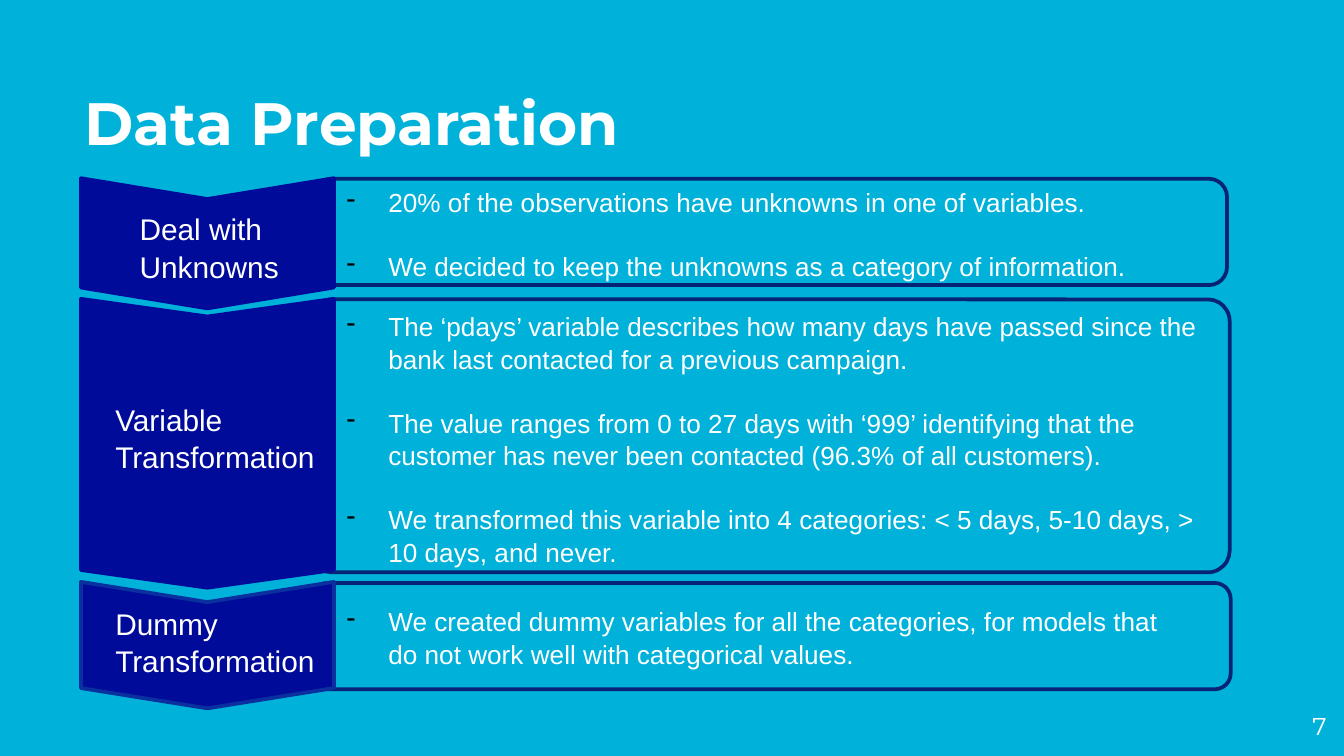
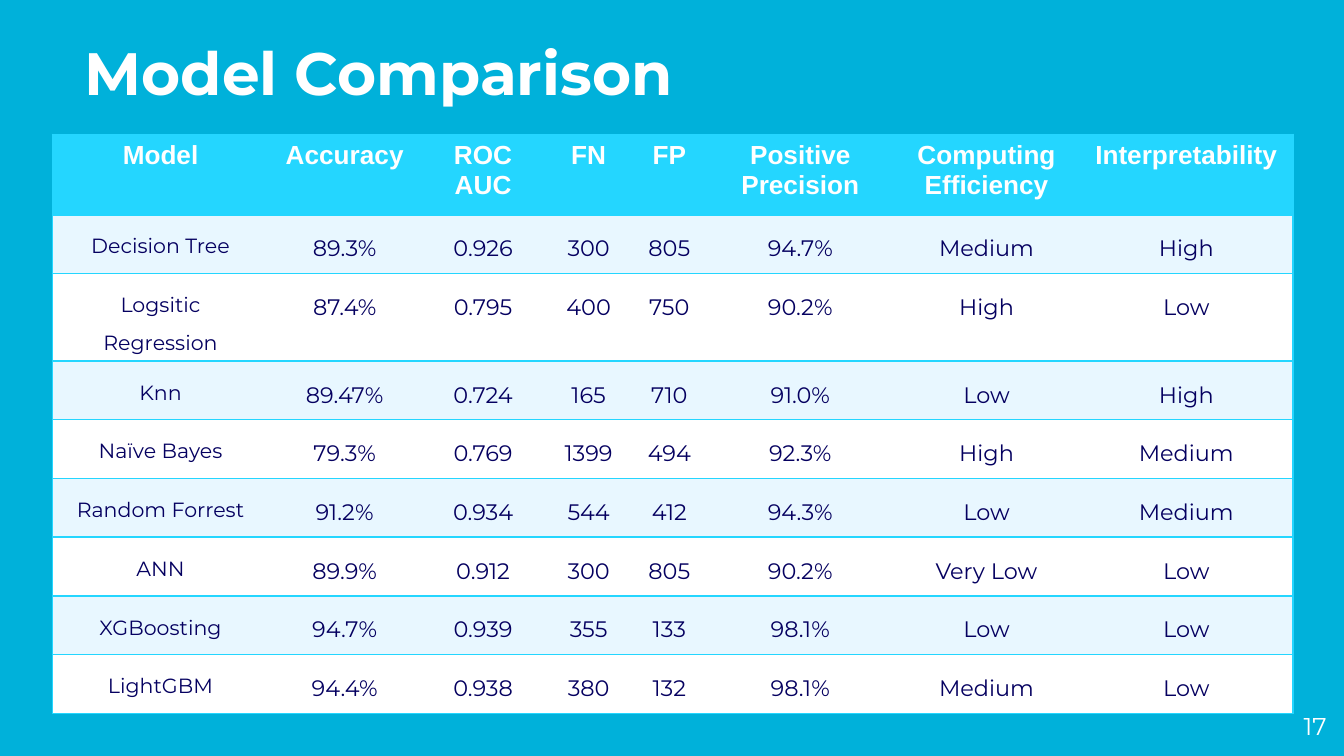
"""Build two slides on data preparation and model comparison."""
import dataclasses

import lxml.etree
import pptx
import pptx.dml.color
import pptx.enum.shapes
import pptx.enum.text
import pptx.oxml.ns
import pptx.util

Cm = pptx.util.Cm
Pt = pptx.util.Pt
qn = pptx.oxml.ns.qn
Align = pptx.enum.text.PP_ALIGN
Anchor = pptx.enum.text.MSO_ANCHOR
Preset = pptx.enum.shapes.MSO_SHAPE


@dataclasses.dataclass(frozen=True)
class Theme:
    background: str = "00B1DA"
    white: str = "FFFFFF"
    bullet: str = "000000"
    chevron: str = "000B9A"
    chevron_edge: str = "0A2F9E"
    frame: str = "072375"
    table_accent: str = "24D6FF"
    table_band: str = "E8F7FF"
    table_text: str = "050060"
    heading_font: str = "Montserrat"
    body_font: str = "Arial"
    title_size: int = 32
    label_size: int = 16
    body_size: int = 14
    page_size: int = 13
    value_size: int = 12
    model_size: int = 11
    line_width: int = 2


@dataclasses.dataclass(frozen=True)
class Stage:
    label: tuple
    points: tuple
    frame: tuple
    frame_corner: float
    chevron: tuple
    chevron_depth: float
    chevron_edge: str
    label_area: tuple
    body_area: tuple


THEME = Theme()
STAGES = (
    Stage(
        label=("Deal with", "Unknowns"),
        points=(
            "20% of the observations have unknowns in one of variables.",
            "We decided to keep the unknowns as a category of information.",
        ),
        frame=(5.92, 3.38, 17.27, 2.01), frame_corner=0.17,
        chevron=(1.53, 3.37, 4.78, 2.46), chevron_depth=0.16,
        chevron_edge=THEME.chevron,
        label_area=(2.39, 3.84, 5.79, 1.63), body_area=(6.3, 3.38, 17.58, 2.06),
    ),
    Stage(
        label=("Variable", "Transformation"),
        points=(
            "The ‘pdays’ variable describes how many days have passed since the "
            "bank last contacted for a previous campaign.",
            "The value ranges from 0 to 27 days with ‘999’ identifying that the "
            "customer has never been contacted (96.3% of all customers).",
            "We transformed this variable into 4 categories: < 5 days, 5-10 days, "
            "> 10 days, and never.",
        ),
        frame=(5.87, 5.66, 17.37, 5.16), frame_corner=0.08,
        chevron=(1.53, 5.65, 4.78, 5.46), chevron_depth=0.07,
        chevron_edge=THEME.chevron,
        label_area=(1.93, 7.44, 5.79, 1.63), body_area=(6.3, 5.72, 16.61, 5.05),
    ),
    Stage(
        label=("Dummy Transformation",),
        points=(
            "We created dummy variables for all the categories, for models that "
            "do not work well with categorical values.",
        ),
        frame=(5.89, 11.02, 17.37, 2.01), frame_corner=0.15,
        chevron=(1.53, 11, 4.78, 2.39), chevron_depth=0.16,
        chevron_edge=THEME.chevron_edge,
        label_area=(1.93, 11.3, 5.61, 1.63), body_area=(6.3, 11.3, 15.93, 1.45),
    ),
)

MODEL_COLUMNS = (
    ("Model", 4.09), ("Accuracy", 2.87), ("ROC AUC", 2.36), ("FN", 1.63),
    ("FP", 1.42), ("Positive Precision", 3.53), ("Computing Efficiency", 3.51),
    ("Interpretability", 4.04),
)
MODEL_ROWS = (
    ("Decision Tree", "89.3%", "0.926", "300", "805", "94.7%", "Medium", "High"),
    ("Logsitic Regression", "87.4%", "0.795", "400", "750", "90.2%", "High", "Low"),
    ("Knn", "89.47%", "0.724", "165", "710", "91.0%", "Low", "High"),
    ("Naïve Bayes", "79.3%", "0.769", "1399", "494", "92.3%", "High", "Medium"),
    ("Random Forrest", "91.2%", "0.934", "544", "412", "94.3%", "Low", "Medium"),
    ("ANN", "89.9%", "0.912", "300", "805", "90.2%", "Very Low", "Low"),
    ("XGBoosting", "94.7%", "0.939", "355", "133", "98.1%", "Low", "Low"),
    ("LightGBM", "94.4%", "0.938", "380", "132", "98.1%", "Medium", "Low"),
)


def rgb(value):
    return pptx.dml.color.RGBColor.from_string(value)


def add_bullet(paragraph, color, indent=0.79):
    properties = paragraph._p.get_or_add_pPr()
    properties.set("marL", str(Cm(indent)))
    properties.set("indent", str(-Cm(indent)))
    bullet_color = lxml.etree.SubElement(properties, qn("a:buClr"))
    lxml.etree.SubElement(bullet_color, qn("a:srgbClr"), val=color)
    lxml.etree.SubElement(properties, qn("a:buChar"), char="-")


def write_text(frame, lines, *, font, size, color, bold=False, align=Align.LEFT,
               spacing=None, gap=0, bullet=None):
    for index, line in enumerate(lines):
        paragraph = frame.add_paragraph() if index else frame.paragraphs[0]
        paragraph.alignment = align
        if spacing:
            paragraph.line_spacing = spacing
        if gap and index:
            paragraph.space_before = Pt(gap)
        if bullet:
            add_bullet(paragraph, bullet)
        run = paragraph.add_run()
        run.text = line
        run.font.name = font
        run.font.size = Pt(size)
        run.font.bold = bold
        run.font.color.rgb = rgb(color)


def set_borders(cell, color, visible):
    properties = cell._tc.get_or_add_tcPr()
    for index, side in enumerate("LRTB"):
        line = lxml.etree.Element(qn(f"a:ln{side}"), w=str(Pt(1)))
        if side in visible:
            fill = lxml.etree.SubElement(line, qn("a:solidFill"))
            lxml.etree.SubElement(fill, qn("a:srgbClr"), val=color)
        else:
            lxml.etree.SubElement(line, qn("a:noFill"))
        properties.insert(index, line)


class Deck:
    def __init__(self, theme):
        self.theme = theme
        self.presentation = pptx.Presentation()
        self.presentation.slide_width = Cm(25.4)
        self.presentation.slide_height = Cm(14.29)
        self.slide = None

    def start_slide(self, title, number, title_height):
        layout = self.presentation.slide_layouts[6]
        self.slide = self.presentation.slides.add_slide(layout)
        background = self.slide.background.fill
        background.solid()
        background.fore_color.rgb = rgb(self.theme.background)
        self.text((1.6, 0.58, 16.71, title_height), [title], margin=0,
                  anchor=Anchor.BOTTOM, font=self.theme.heading_font,
                  size=self.theme.title_size, bold=True)
        self.text((23.55, 13.18, 1.52, 1.09), [number], margin=0,
                  anchor=Anchor.MIDDLE, font=self.theme.heading_font,
                  size=self.theme.page_size, align=Align.RIGHT)

    def text(self, area, lines, margin=None, anchor=Anchor.TOP, **text_format):
        frame = self.slide.shapes.add_textbox(*map(Cm, area)).text_frame
        frame.word_wrap = True
        frame.vertical_anchor = anchor
        if margin is not None:
            frame.margin_left = frame.margin_right = Cm(margin)
            frame.margin_top = frame.margin_bottom = Cm(margin)
        write_text(frame, lines, color=self.theme.white, **text_format)

    def shape(self, preset, area, adjustment, line, fill=None):
        shape = self.slide.shapes.add_shape(preset, *map(Cm, area))
        shape.shadow.inherit = False
        shape.adjustments[0] = adjustment
        shape.line.color.rgb = rgb(line)
        shape.line.width = Pt(self.theme.line_width)
        if fill:
            shape.fill.solid()
            shape.fill.fore_color.rgb = rgb(fill)
        else:
            shape.fill.background()
        return shape

    def down_chevron(self, area, depth, line):
        left, top, width, height = area
        shift = (width - height) / 2
        turned = (left + shift, top - shift, height, width)
        shape = self.shape(Preset.CHEVRON, turned, depth, line, self.theme.chevron)
        shape.rotation = 90

    def stage(self, stage):
        theme = self.theme
        self.shape(Preset.ROUNDED_RECTANGLE, stage.frame, stage.frame_corner, theme.frame)
        self.down_chevron(stage.chevron, stage.chevron_depth, stage.chevron_edge)
        self.text(stage.body_area, stage.points, font=theme.body_font,
                  size=theme.body_size, spacing=1.04, gap=16.8, bullet=theme.bullet)
        self.text(stage.label_area, stage.label, font=theme.body_font,
                  size=theme.label_size, spacing=1.04)

    def table(self, left, top, columns, rows, header_height, row_height):
        theme = self.theme
        width = sum(column_width for _, column_width in columns)
        height = header_height + row_height * len(rows)
        table = self.slide.shapes.add_table(
            len(rows) + 1, len(columns), Cm(left), Cm(top), Cm(width), Cm(height)).table
        for column, (_, column_width) in zip(table.columns, columns):
            column.width = Cm(column_width)
        headings = tuple(heading for heading, _ in columns)
        for row_index, values in enumerate((headings, *rows)):
            table.rows[row_index].height = Cm(row_height if row_index else header_height)
            for column_index, value in enumerate(values):
                cell = table.cell(row_index, column_index)
                self.cell(cell, value, row_index, column_index)
                visible = "TB"
                if column_index == 0:
                    visible += "L"
                if column_index == len(columns) - 1:
                    visible += "R"
                set_borders(cell, theme.table_accent, visible)

    def cell(self, cell, value, row_index, column_index):
        theme = self.theme
        if row_index == 0:
            fill = theme.table_accent
            text_format = dict(font=theme.body_font, size=theme.body_size,
                               color=theme.white, bold=True)
        else:
            fill = theme.table_band if row_index % 2 else theme.white
            size = theme.value_size if column_index else theme.model_size
            text_format = dict(font=theme.heading_font, size=size,
                               color=theme.table_text, spacing=1.5)
        cell.fill.solid()
        cell.fill.fore_color.rgb = rgb(fill)
        write_text(cell.text_frame, [value], align=Align.CENTER, **text_format)


def main():
    deck = Deck(THEME)
    deck.start_slide("Data Preparation", "7", title_height=2.39)
    for stage in STAGES:
        deck.stage(stage)
    deck.start_slide("Model Comparison", "17", title_height=1.45)
    deck.table(0.99, 2.54, MODEL_COLUMNS, MODEL_ROWS, header_height=1.52, row_height=1.11)
    deck.presentation.save("out.pptx")


if __name__ == "__main__":
    main()
